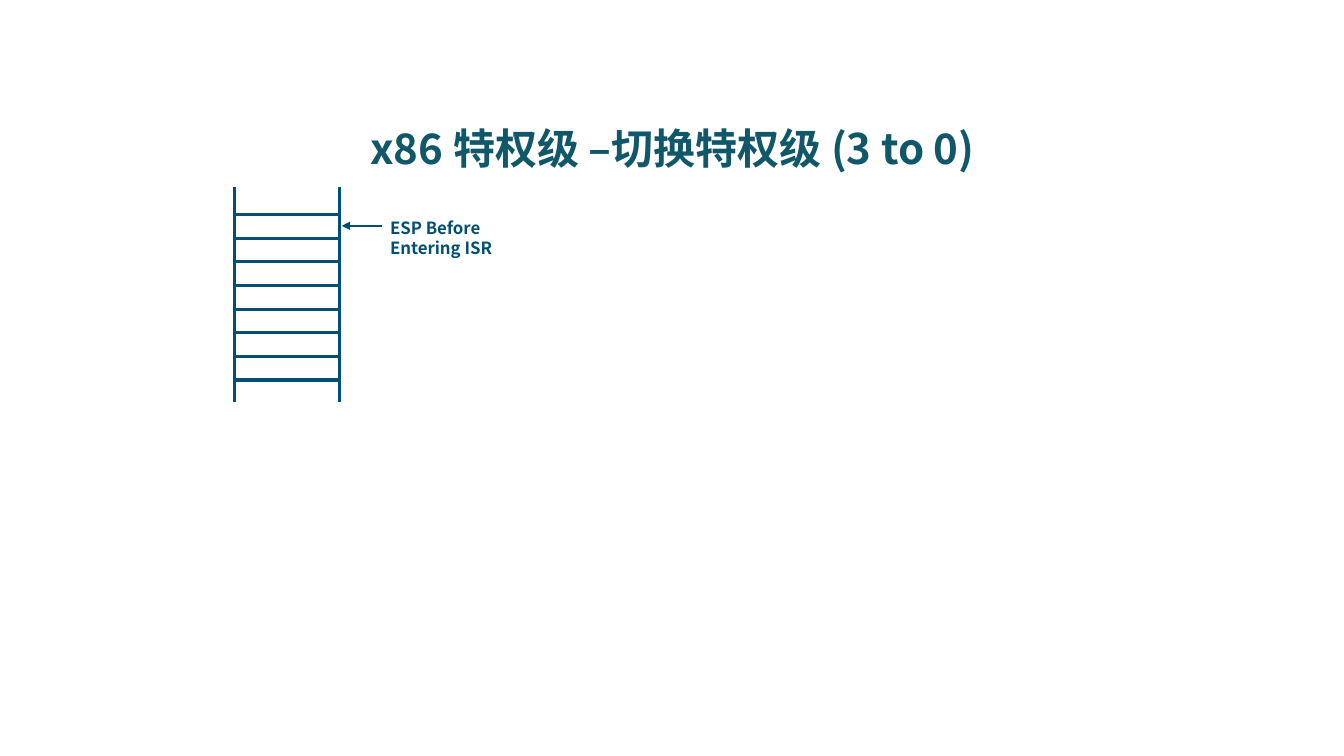
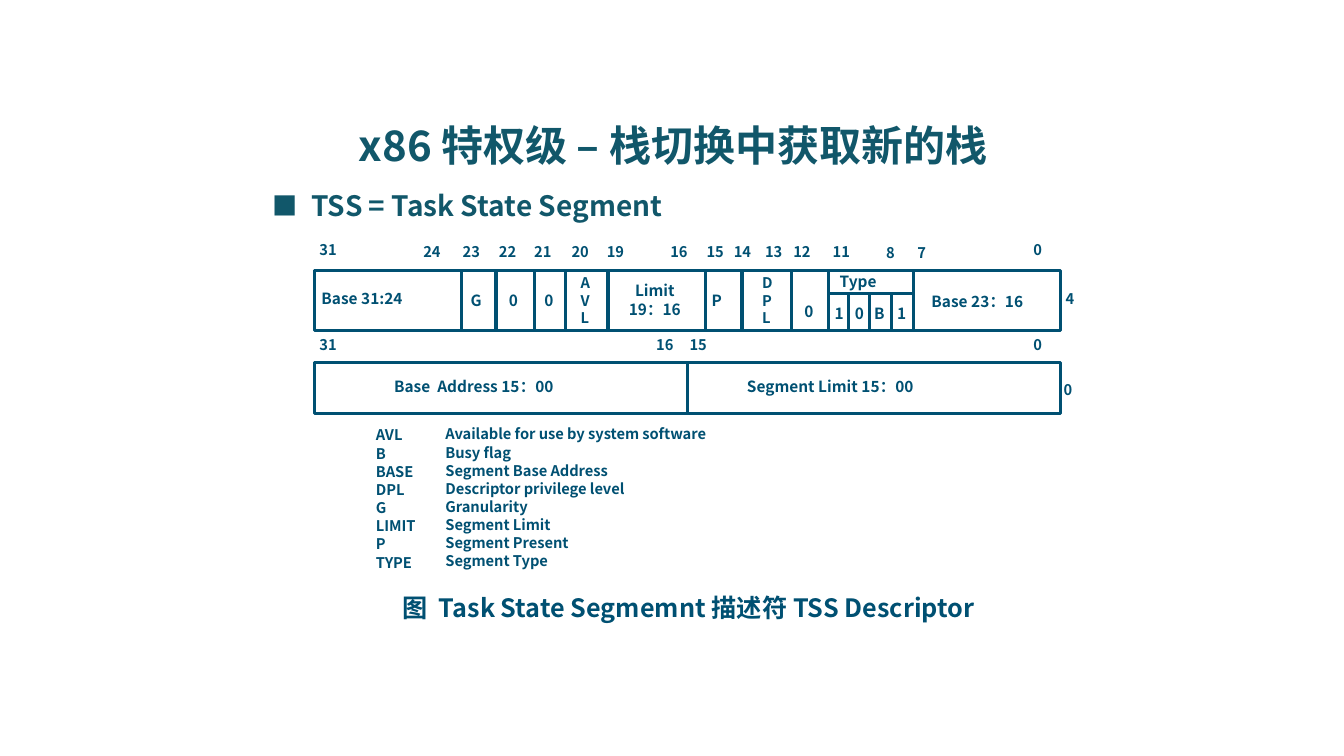
import pptx
import pptx.util
import pptx.dml.color
import pptx.enum.dml
import pptx.enum.shapes
import pptx.enum.text
import pptx.oxml
import pptx.oxml.ns
from lxml import etree

Inches = pptx.util.Inches
Pt = pptx.util.Pt
RGBColor = pptx.dml.color.RGBColor
PP_ALIGN = pptx.enum.text.PP_ALIGN
qn = pptx.oxml.ns.qn

TITLE_COLOR = RGBColor(0x11, 0x57, 0x6A)
INK = RGBColor(0x00, 0x50, 0x72)
FONT = "Noto Sans CJK SC"
SYMBOL_FONT = "Noto Sans CJK JP"
RULE = 2.25
SMALL = 10.5
FIELD = 11

STACK_LEFT, STACK_RIGHT = 2.33, 3.37
STACK_TOP, STACK_BOTTOM = 1.86, 3.99
STACK_FIRST, STACK_LAST, STACK_RULES = 2.13, 3.77, 8

ROW_LEFT, ROW_WIDTH = 3.12, 7.4
HIGH_TOP, HIGH_HEIGHT = 2.68, 0.6
LOW_TOP, LOW_HEIGHT = 3.6, 0.5
TYPE_TOP = 2.91
HIGH_DIVIDERS = [4.58, 4.92, 5.3, 5.61, 6.03, 7, 7.36, 7.85, 8.22, 9.06]
TYPE_DIVIDERS = [8.42, 8.62, 8.84]

HIGH_BITS = [
    ("31", 3.07, 2.34), ("24", 4.1, 2.36), ("23", 4.49, 2.36),
    ("22", 4.85, 2.36), ("21", 5.2, 2.36), ("20", 5.57, 2.36),
    ("19", 5.92, 2.36), ("16", 6.55, 2.36), ("15", 6.91, 2.36),
    ("14", 7.18, 2.36), ("13", 7.49, 2.36), ("12", 7.77, 2.36),
    ("11", 8.16, 2.36), ("8", 8.69, 2.37), ("7", 9, 2.37),
    ("0", 10.15, 2.34),
]
LOW_BITS = [("31", 3.07, 3.28), ("16", 6.41, 3.28),
            ("15", 6.74, 3.28), ("0", 10.15, 3.28)]
OFFSETS = [("4", 10.47, 2.83), ("0", 10.45, 3.73)]
STACKED_FIELDS = [("A\nV\nL", 5.66, 2.67), ("D\nP\nL", 7.46, 2.67)]

FIELDS = [
    ("Base 31:24", 3.09, 2.82, 1.6), ("G", 4.57, 2.84, 0.49),
    ("0", 4.95, 2.84, 0.43), ("0", 5.3, 2.84, 0.43),
    ("P", 6.96, 2.84, 0.36), ("0", 7.88, 2.95, 0.49),
    ("Type", 8.23, 2.65, 1.7), ("1", 8.18, 2.97, 0.49),
    ("0", 8.38, 2.97, 0.49), ("B", 8.57, 2.97, 0.49),
    ("1", 8.8, 2.97, 0.49), ("Base 23：16", 9.14, 2.85, 1.82),
    ("Base  Address 15：00", 3.81, 3.69, 4.49),
    ("Segment Limit 15：00", 7.31, 3.69, 4.73),
]

LEGEND = [
    ("AVL", "Available for use by system software"),
    ("B", "Busy flag"),
    ("BASE", "Segment Base Address"),
    ("DPL", "Descriptor privilege level"),
    ("G", "Granularity"),
    ("LIMIT", "Segment Limit"),
    ("P", "Segment Present"),
    ("TYPE", "Segment Type"),
]
LEGEND_TOP, LEGEND_PITCH = 4.17, 0.18


def add_text(s, text, x, y, w, h=0.28, size=SMALL, color=INK, font=FONT,
             align=PP_ALIGN.LEFT, spacing=None, wrap=True):
    tf = s.shapes.add_textbox(Inches(x), Inches(y), Inches(w), Inches(h)).text_frame
    tf.word_wrap = wrap
    tf.auto_size = pptx.enum.text.MSO_AUTO_SIZE.SHAPE_TO_FIT_TEXT
    for i, line in enumerate(text.split("\n")):
        p = tf.add_paragraph() if i else tf.paragraphs[0]
        p.alignment = align
        if spacing:
            p.line_spacing = spacing
        r = p.add_run()
        r.text = line
        r.font.size = Pt(size)
        r.font.bold = True
        r.font.name = font
        r.font.color.rgb = color
        etree.SubElement(r.font._element, qn("a:ea")).set("typeface", font)


def add_title(s, text, x, w, y=1.17, h=0.6, **fmt):
    add_text(s, text, x, y, w, h, size=30, color=TITLE_COLOR, **fmt)


def add_line(s, x1, y1, x2, y2, width=RULE, arrow=False):
    c = s.shapes.add_connector(pptx.enum.shapes.MSO_CONNECTOR.STRAIGHT,
                               Inches(x1), Inches(y1), Inches(x2), Inches(y2))
    c.line.color.rgb = INK
    c.line.width = Pt(width)
    if arrow:
        etree.SubElement(c.line._get_or_add_ln(), qn("a:tailEnd")).set("type", "triangle")
    etree.SubElement(c._element.spPr, qn("a:effectLst"))


def add_frame(s, x, y, w, h):
    sp = s.shapes.add_shape(pptx.enum.shapes.MSO_SHAPE.RECTANGLE,
                            Inches(x), Inches(y), Inches(w), Inches(h))
    sp.shadow.inherit = False
    sp.fill.background()
    sp.line.color.rgb = INK
    sp.line.width = Pt(RULE)


def add_stack(s):
    for x in (STACK_LEFT, STACK_RIGHT):
        add_line(s, x, STACK_TOP, x, STACK_BOTTOM)
    pitch = (STACK_LAST - STACK_FIRST) / (STACK_RULES - 1)
    for i in range(STACK_RULES):
        y = STACK_FIRST + i * pitch
        add_line(s, STACK_LEFT, y, STACK_RIGHT, y)


def add_descriptor(s):
    add_frame(s, ROW_LEFT, HIGH_TOP, ROW_WIDTH, HIGH_HEIGHT)
    add_frame(s, ROW_LEFT, LOW_TOP, ROW_WIDTH, LOW_HEIGHT)
    bottom = HIGH_TOP + HIGH_HEIGHT
    for x in HIGH_DIVIDERS:
        add_line(s, x, HIGH_TOP, x, bottom)
    for x in TYPE_DIVIDERS:
        add_line(s, x, TYPE_TOP, x, bottom)
    add_line(s, 8.22, TYPE_TOP, 9.06, TYPE_TOP)
    add_line(s, 6.82, LOW_TOP, 6.82, LOW_TOP + LOW_HEIGHT)
    for text, x, y in HIGH_BITS + LOW_BITS + OFFSETS:
        add_text(s, text, x, y, 0.58)
    for text, x, y in STACKED_FIELDS:
        add_text(s, text, x, y, 0.46, 0.63)
    for text, x, y, w in FIELDS:
        add_text(s, text, x, y, w, 0.29, size=FIELD)
    add_text(s, "Limit\n19：16", 5.89, 2.74, 1.21, 0.47, size=FIELD,
             align=PP_ALIGN.CENTER)


def add_legend(s):
    for i, (term, meaning) in enumerate(LEGEND):
        y = LEGEND_TOP + i * LEGEND_PITCH
        add_text(s, term, 3.63, y + 0.01, 0.92)
        add_text(s, meaning, 4.32, y, 4.26)


def build_stack_slide(s):
    add_title(s, "x86 特权级 –切换特权级 (3 to 0)", 1.67, 10, align=PP_ALIGN.CENTER)
    add_text(s, "ESP Before\nEntering ISR", 3.77, 2.11, 1.24, 0.5, size=12, wrap=False)
    add_line(s, 3.79, 2.24, 3.39, 2.24, width=1.5, arrow=True)
    add_stack(s)


def build_tss_slide(s):
    add_title(s, "x86 特权级 – 栈切换中获取新的栈", 3.46, 7.64, spacing=0.95)
    add_text(s, "TSS = Task State Segment", 2.99, 1.84, 4.22, 0.42, size=20,
             color=TITLE_COLOR, spacing=0.95)
    add_text(s, "■", 2.6, 1.84, 0.45, 0.4, size=18, color=TITLE_COLOR,
             font=SYMBOL_FONT, wrap=False)
    add_descriptor(s)
    add_legend(s)
    add_text(s, "图  Task State Segmemnt 描述符 TSS Descriptor",
             3.89, 5.83, 6.51, 0.4, size=18)


def main():
    prs = pptx.Presentation()
    prs.slide_width = Inches(13.33)
    prs.slide_height = Inches(7.5)
    for build in (build_stack_slide, build_tss_slide):
        build(prs.slides.add_slide(prs.slide_layouts[6]))
    prs.save("out.pptx")


if __name__ == "__main__":
    main()
